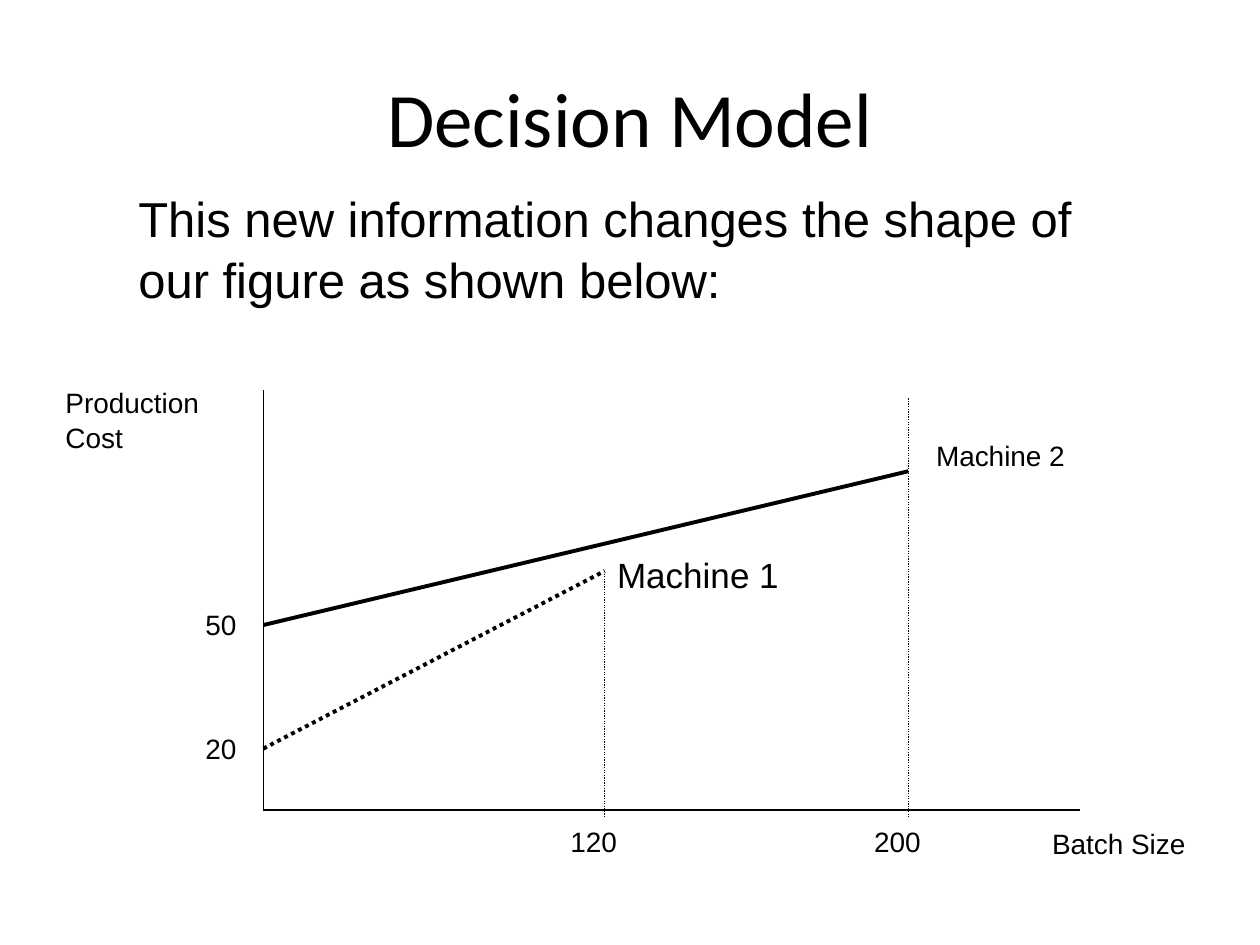
from dataclasses import dataclass

from lxml import etree
from pptx import Presentation
from pptx.dml.color import RGBColor
from pptx.enum.dml import MSO_LINE
from pptx.enum.shapes import MSO_CONNECTOR
from pptx.enum.text import MSO_ANCHOR, PP_ALIGN
from pptx.oxml.ns import qn
from pptx.util import Cm, Pt

STRAIGHT = MSO_CONNECTOR.STRAIGHT
DOTTED = MSO_LINE.ROUND_DOT
MIDDLE, TOP = MSO_ANCHOR.MIDDLE, MSO_ANCHOR.TOP
CENTER, LEFT = PP_ALIGN.CENTER, PP_ALIGN.LEFT


@dataclass(frozen=True)
class Theme:
    ink: RGBColor = RGBColor(0, 0, 0)
    title_font: str = "Calibri"
    body_font: str = "Arial"
    title: int = 44
    body: int = 28
    callout: int = 20
    label: int = 16
    thin: float = 0.75
    thick: float = 2.25
    spacing: float = 1.05


THEME = Theme()

TITLE = "Decision Model"
MESSAGE = "This new information changes the shape of our figure as shown below:"

ORIGIN_X, AXIS_Y = 5.31, 16.33
AXIS_TOP, AXIS_RIGHT = 7.87, 21.77
GUIDE_BOTTOM = 16.46
TICK_SIZE = (1.88, 0.99)

MACHINES = [
    {"capacity": "200", "setup": "50", "x": 18.31, "start": 12.6, "end": 9.5,
     "guide_top": 8.03, "dash": None},
    {"capacity": "120", "setup": "20", "x": 12.19, "start": 15.09, "end": 11.51,
     "guide_top": 11.51, "dash": DOTTED},
]

LABELS = [
    ("Machine 1", (12.19, 11, 7.32, 1.5), THEME.callout),
    ("Machine 2", (18.62, 8.69, 3.76, 1.5), THEME.label),
    ("Production Cost", (1.07, 7.62, 3.76, 1.98), THEME.label),
    ("Batch Size", (20.96, 16.51, 3.76, 1.5), THEME.label),
]


def add_text(slide, text, box, size, font=THEME.body_font, align=LEFT,
             anchor=TOP, spacing=THEME.spacing):
    tf = slide.shapes.add_textbox(*map(Cm, box)).text_frame
    tf.word_wrap = True
    tf.vertical_anchor = anchor
    tf.text = text
    p = tf.paragraphs[0]
    p.alignment = align
    p.line_spacing = spacing
    p.font.size = Pt(size)
    p.font.name = font
    p.font.color.rgb = THEME.ink


def add_line(slide, start, end, width=THEME.thin, dash=None):
    line = slide.shapes.add_connector(STRAIGHT, *map(Cm, start + end))
    line.line.color.rgb = THEME.ink
    line.line.width = Pt(width)
    if dash is not None:
        line.line.dash_style = dash
    etree.SubElement(line._element.spPr, qn("a:effectLst"))
    return line


def add_guide(slide, start, end):
    ln = add_line(slide, start, end).line._get_or_add_ln()
    dashes = etree.SubElement(ln, qn("a:custDash"))
    etree.SubElement(dashes, qn("a:ds"), d="100000", sp="100000")


def add_machine(slide, machine):
    x, start = machine["x"], machine["start"]
    add_line(slide, (ORIGIN_X, start), (x, machine["end"]), THEME.thick, machine["dash"])
    add_guide(slide, (x, machine["guide_top"]), (x, GUIDE_BOTTOM))
    add_text(slide, machine["capacity"], (x - 0.94, GUIDE_BOTTOM, *TICK_SIZE), THEME.label)
    add_text(slide, machine["setup"], (ORIGIN_X - 1.42, start - 0.51, *TICK_SIZE), THEME.label)


def main():
    prs = Presentation()
    prs.slide_width, prs.slide_height = Cm(25.4), Cm(19.05)
    s = prs.slides.add_slide(prs.slide_layouts[6])

    add_text(s, TITLE, (1.27, 0.76, 22.86, 3.18), THEME.title,
             THEME.title_font, CENTER, MIDDLE, 1.0)
    add_text(s, MESSAGE, (2.54, 3.61, 19.89, 2.64), THEME.body)

    add_line(s, (ORIGIN_X, AXIS_TOP), (ORIGIN_X, AXIS_Y))
    add_line(s, (ORIGIN_X, AXIS_Y), (AXIS_RIGHT, AXIS_Y))
    for machine in MACHINES:
        add_machine(s, machine)
    for text, box, size in LABELS:
        add_text(s, text, box, size)

    prs.save("out.pptx")


if __name__ == "__main__":
    main()
